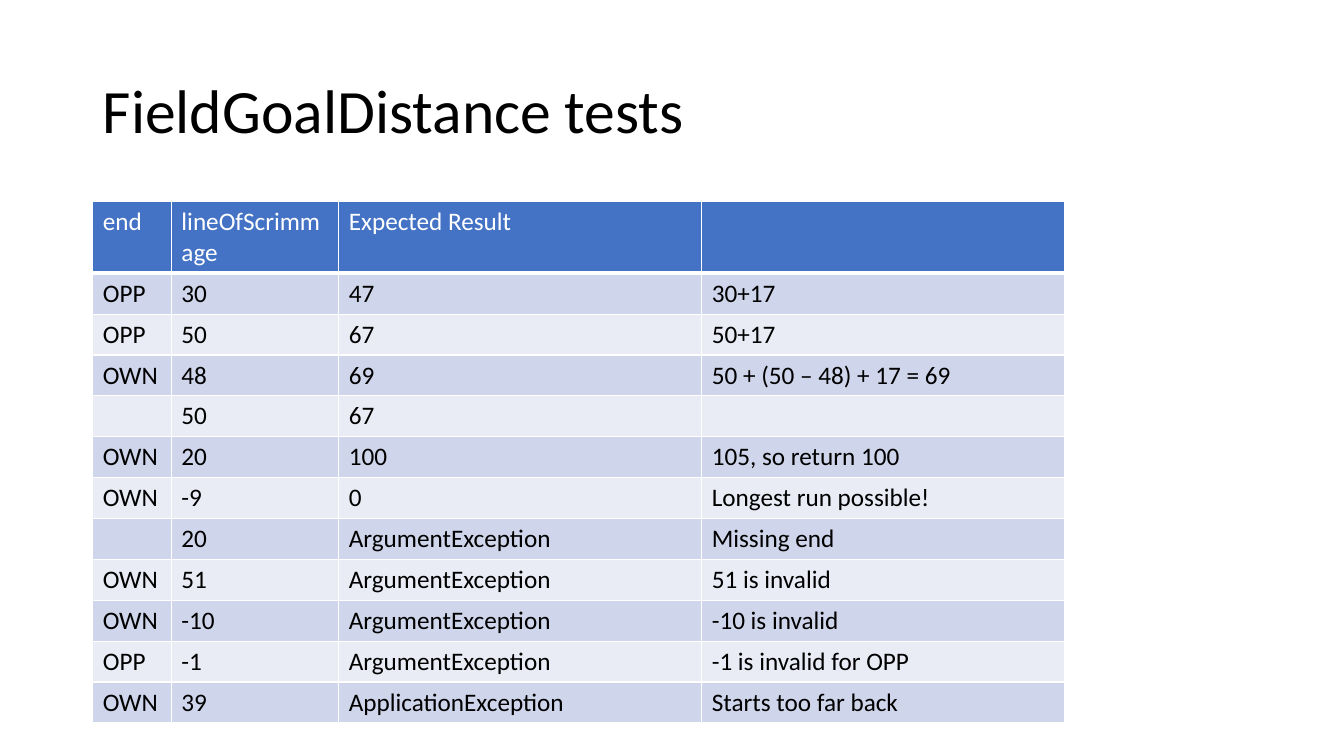
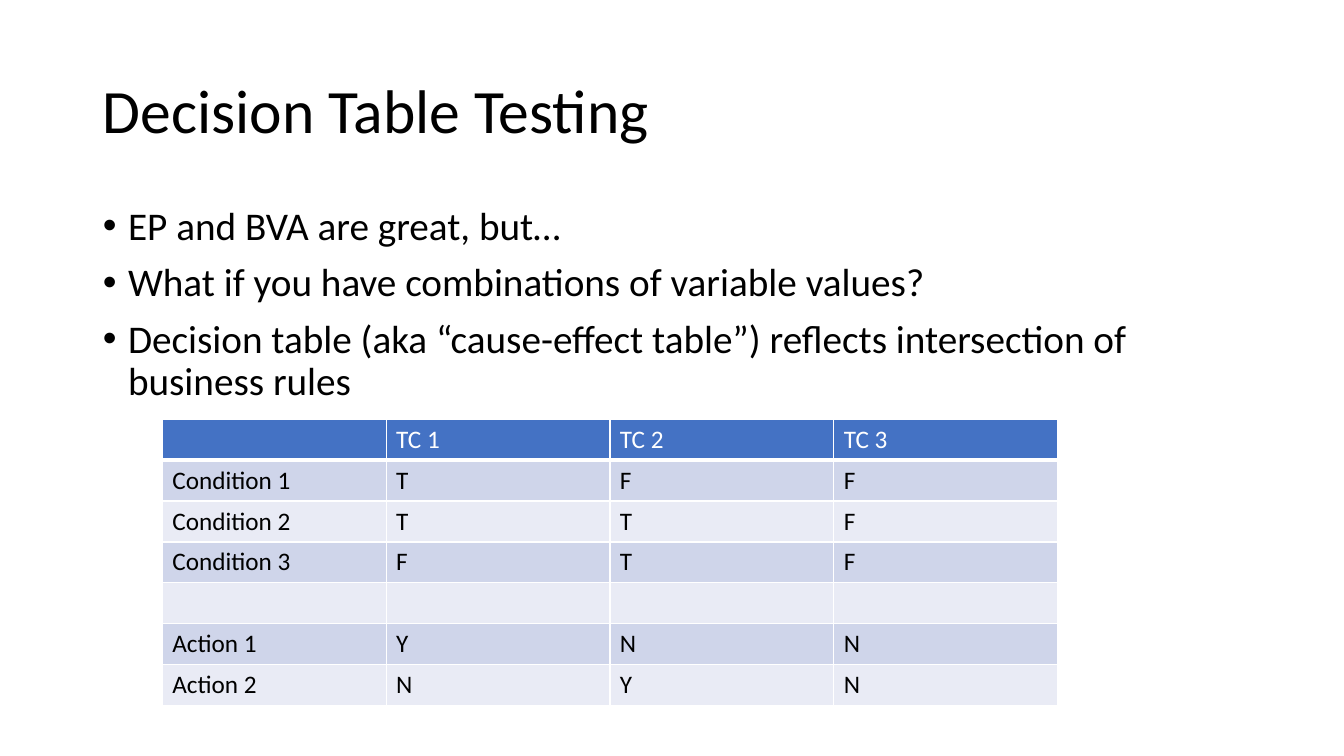
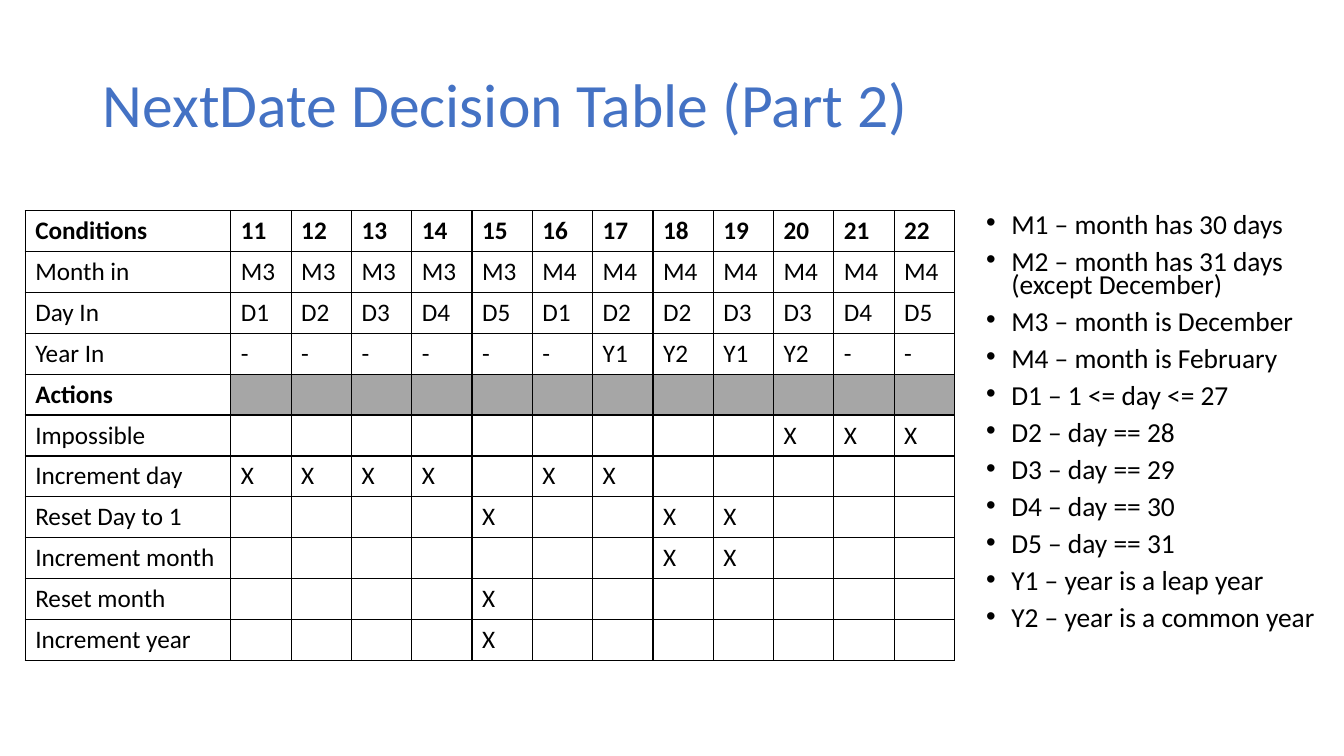
from lxml import etree
from pptx import Presentation
from pptx.dml.color import RGBColor
from pptx.enum.text import MSO_ANCHOR, MSO_AUTO_SIZE, PP_ALIGN
from pptx.oxml.ns import qn
from pptx.util import Inches, Pt

MIDDLE, TOP = MSO_ANCHOR.MIDDLE, MSO_ANCHOR.TOP
NO_FIT, LEFT = MSO_AUTO_SIZE.NONE, PP_ALIGN.LEFT

# Shared look
FONT = "Calibri"
BLACK, WHITE, BLUE, GREY = "000000", "FFFFFF", "4472C4", "A6A6A6"
BANDS = ("CFD5EA", "E9EBF5")
PAGE_WIDTH, PAGE_HEIGHT = 13.33, 7.5
MARGIN, CONTENT_WIDTH, BODY_TOP, BODY_HEIGHT = 0.92, 11.5, 2, 4.76
TITLE_AREA = (MARGIN, 0.4, CONTENT_WIDTH, 1.45)
TITLE_AND_BODY, TITLE_ONLY = 1, 5

FIELD_GOAL_ROWS = [
    ("end", "lineOfScrimmage", "Expected Result", ""),
    ("OPP", "30", "47", "30+17"),
    ("OPP", "50", "67", "50+17"),
    ("OWN", "48", "69", "50 + (50 – 48) + 17 = 69"),
    ("", "50", "67", ""),
    ("OWN", "20", "100", "105, so return 100"),
    ("OWN", "-9", "0", "Longest run possible!"),
    ("", "20", "ArgumentException", "Missing end"),
    ("OWN", "51", "ArgumentException", "51 is invalid"),
    ("OWN", "-10", "ArgumentException", "-10 is invalid"),
    ("OPP", "-1", "ArgumentException", "-1 is invalid for OPP"),
    ("OWN", "39", "ApplicationException", "Starts too far back"),
]

DECISION_POINTS = [
    "EP and BVA are great, but…",
    "What if you have combinations of variable values?",
    "Decision table (aka “cause-effect table”) reflects intersection of business rules",
]
DECISION_ROWS = [
    ("", "TC 1", "TC 2", "TC 3"),
    ("Condition 1", "T", "F", "F"),
    ("Condition 2", "T", "T", "F"),
    ("Condition 3", "F", "T", "F"),
    ("", "", "", ""),
    ("Action 1", "Y", "N", "N"),
    ("Action 2", "N", "Y", "N"),
]

RULES = range(11, 23)
CONDITIONS = {
    "Month in": "M3 M3 M3 M3 M3 M4 M4 M4 M4 M4 M4 M4",
    "Day In": "D1 D2 D3 D4 D5 D1 D2 D2 D3 D3 D4 D5",
    "Year In": "- - - - - - Y1 Y2 Y1 Y2 - -",
}
# Rules in which each action is marked
ACTIONS = {
    "Impossible": (20, 21, 22),
    "Increment day": (11, 12, 13, 14, 16, 17),
    "Reset Day to 1": (15, 18, 19),
    "Increment month": (18, 19),
    "Reset month": (15,),
    "Increment year": (15,),
}
LEGEND = [
    "M1 – month has 30 days",
    "M2 – month has 31 days (except December)",
    "M3 – month is December",
    "M4 – month is February",
    "D1 – 1 <= day <= 27",
    "D2 – day == 28",
    "D3 – day == 29",
    "D4 – day == 30",
    "D5 – day == 31",
    "Y1 – year is a leap year",
    "Y2 – year is a common year",
]


def color(value):
    return RGBColor.from_string(value)


def add_span(para, text, size, ink=BLACK, bold=False):
    span = para.add_run()
    span.text = text
    span.font.name = FONT
    span.font.size = Pt(size)
    span.font.bold = bold
    span.font.color.rgb = color(ink)


def place(box, area, anchor):
    """Move a placeholder and fix how its text sits."""
    box.left, box.top, box.width, box.height = map(Inches, area)
    frame = box.text_frame
    frame.word_wrap = True
    frame.auto_size = NO_FIT
    frame.vertical_anchor = anchor
    return frame


def add_page(deck, layout, title, area=TITLE_AREA, ink=BLACK):
    page = deck.slides.add_slide(deck.slide_layouts[layout])
    para = place(page.shapes.title, area, MIDDLE).paragraphs[0]
    para.alignment = LEFT
    para.line_spacing = 0.9
    add_span(para, title, 44, ink)
    return page


def fill_bullets(page, area, lines, size, line_spacing):
    frame = place(page.placeholders[1], area, TOP)
    for index, line in enumerate(lines):
        para = frame.add_paragraph() if index else frame.paragraphs[0]
        props = para._p.get_or_add_pPr()
        props.set("marL", str(Inches(0.25)))
        props.set("indent", str(-Inches(0.25)))
        etree.SubElement(props, qn("a:buFont"), typeface="Arial")
        etree.SubElement(props, qn("a:buChar"), char="•")
        para.line_spacing = line_spacing
        para.space_before = Pt(10 if index else 0)
        add_span(para, line, size)


def set_borders(cell, ink, bottom):
    props = cell._tc.get_or_add_tcPr()
    for side, width in (("L", 1), ("R", 1), ("T", 1), ("B", bottom)):
        line = etree.SubElement(props, qn(f"a:ln{side}"), w=str(Pt(width)))
        fill = etree.SubElement(line, qn("a:solidFill"))
        etree.SubElement(fill, qn("a:srgbClr"), val=ink)


def add_grid(page, area, widths, rows, style, header_height=None):
    """Add a table; style(row, column) gives fill, ink, bold, border, bottom width."""
    frame = page.shapes.add_table(len(rows), len(widths), *map(Inches, area))
    table = frame.table
    table.first_row = table.horz_banding = False
    for column, width in zip(table.columns, widths):
        column.width = Inches(width)
    height = area[3] / len(rows)
    if header_height:
        height = (area[3] - header_height) / (len(rows) - 1)
    for r, texts in enumerate(rows):
        table.rows[r].height = Inches(height if r else header_height or height)
        for c, text in enumerate(texts):
            cell = table.cell(r, c)
            fill, ink, bold, border, bottom = style(r, c)
            set_borders(cell, border, bottom)
            if fill:
                cell.fill.solid()
                cell.fill.fore_color.rgb = color(fill)
            else:
                cell.fill.background()
            if text:
                add_span(cell.text_frame.paragraphs[0], text, 18, ink, bold)


def banded(row, column):
    if row == 0:
        return BLUE, WHITE, False, WHITE, 3
    return BANDS[(row - 1) % 2], BLACK, False, WHITE, 1


def ruled(row, column):
    actions_row = len(CONDITIONS) + 1
    fill = GREY if row == actions_row and column else None
    return fill, BLACK, row in (0, actions_row), BLACK, 1


def next_date_rows():
    rows = [["Conditions", *map(str, RULES)]]
    rows += [[name, *values.split()] for name, values in CONDITIONS.items()]
    rows.append(["Actions"] + [""] * len(RULES))
    for name, marked in ACTIONS.items():
        rows.append([name] + ["X" if rule in marked else "" for rule in RULES])
    return rows


def main():
    deck = Presentation()
    deck.slide_width, deck.slide_height = Inches(PAGE_WIDTH), Inches(PAGE_HEIGHT)

    # Test cases
    page = add_page(deck, TITLE_ONLY, "FieldGoalDistance tests")
    add_grid(page, (MARGIN, BODY_TOP, 9.64, 5.16), (0.78, 1.66, 3.6, 3.6),
             FIELD_GOAL_ROWS, banded, header_height=0.7)

    # Decision table introduction
    page = add_page(deck, TITLE_AND_BODY, "Decision Table Testing")
    fill_bullets(page, (MARGIN, BODY_TOP, CONTENT_WIDTH, BODY_HEIGHT),
                 DECISION_POINTS, 28, 0.9)
    add_grid(page, (1.61, 4.16, 8.88, 2.84), [2.22] * 4, DECISION_ROWS, banded)

    # Decision table with its legend
    page = add_page(deck, TITLE_AND_BODY, "NextDate Decision Table (Part 2)",
                    (MARGIN, 0.54, CONTENT_WIDTH, 1.06), BLUE)
    add_grid(page, (0.25, 2.09, 9.22, 4.46),
             [2.04] + [7.18 / len(RULES)] * len(RULES), next_date_rows(), ruled)
    fill_bullets(page, (9.68, 2.09, 3.66, BODY_HEIGHT), LEGEND, 19.6, 0.7)

    deck.save("out.pptx")


if __name__ == "__main__":
    main()
